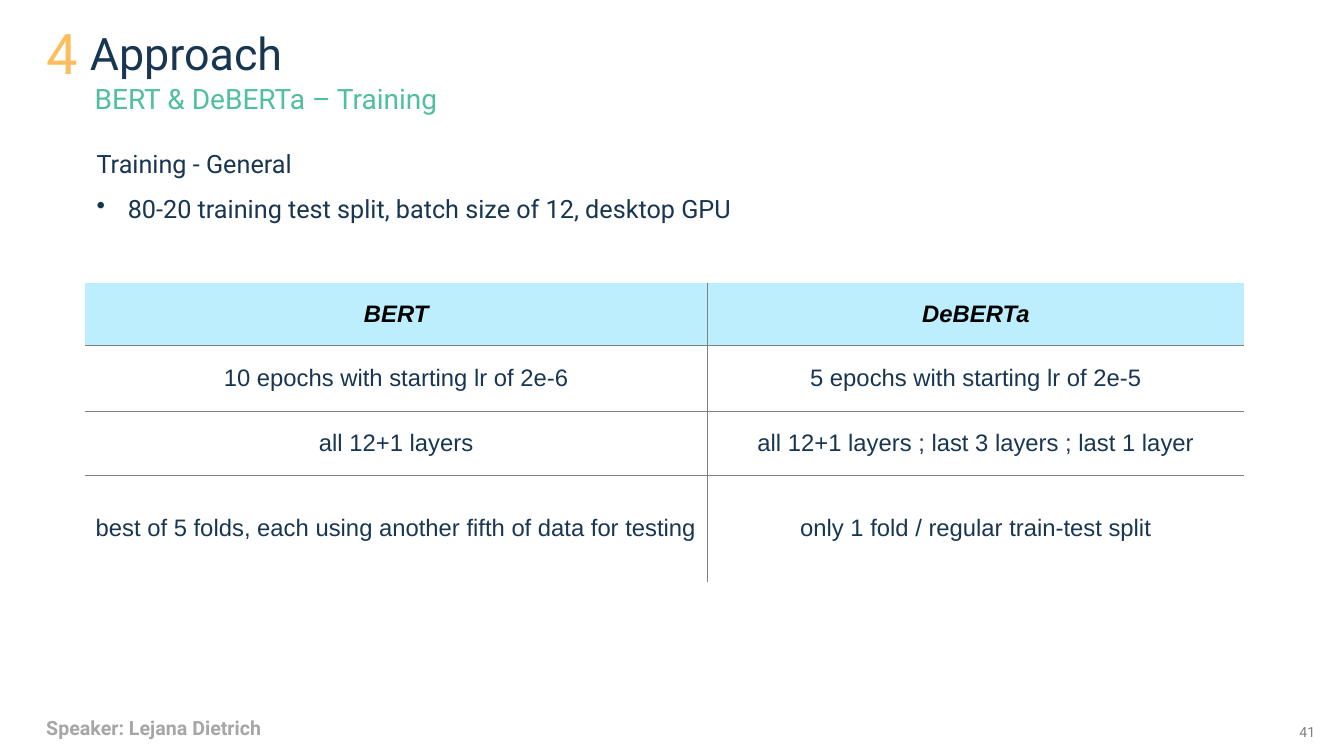
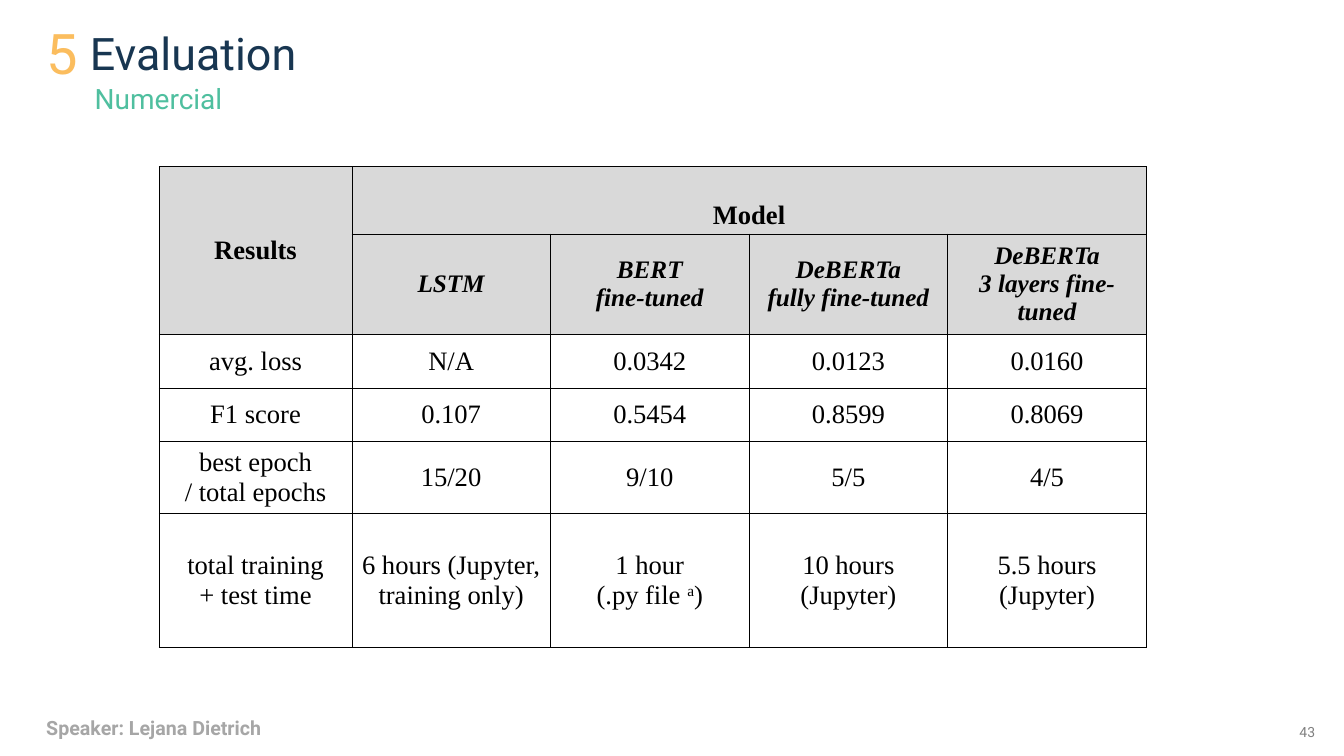
from pptx import Presentation
from pptx import util as u
from pptx.dml.color import RGBColor
from pptx.enum import text
from pptx.oxml.ns import qn
from lxml import etree

NAVY, GREEN, AMBER = "183651", "4FBF9F", "FBBD5E"
GREY, SILVER, BLACK = "808080", "A6A6A6", "000000"
SKY, PALE = "BDEEFD", "D9D9D9"
NO_GRID_STYLE = "{2D5ABB26-0587-4C30-8999-92F81FD0307C}"
SPEAKER = "Speaker: Lejana Dietrich"


def color(value):
    """Turn a hex string into a colour."""
    return RGBColor.from_string(value)


def assign(target, values):
    """Set every attribute named in a dict of format values."""
    for name, value in values.items():
        setattr(target, name, value)


def font(size, hue, name="Roboto", **extra):
    """Describe a font as a dict of format values and a colour."""
    return {"size": u.Pt(size), "name": name, "bold": False, "italic": False, **extra}, hue


class Deck:
    """Hold the style and the current slide; lengths are percent of the slide."""

    def __init__(self):
        """Start a wide presentation."""
        self.presentation = Presentation()
        assign(self.presentation, {"slide_width": u.Inches(13.33), "slide_height": u.Inches(7.5)})
        self.slide = None

    def across(self, share):
        """Convert a share of the width."""
        return int(self.presentation.slide_width * share / 100)

    def down(self, share):
        """Convert a share of the height."""
        return int(self.presentation.slide_height * share / 100)

    def area(self, left, top, width, height):
        """Convert a rectangle of shares to lengths."""
        return self.across(left), self.down(top), self.across(width), self.down(height)

    def paragraph(self, paragraph, words, style, bullet=False, **layout):
        """Write one paragraph, raising the words between carets."""
        if bullet:
            properties = paragraph._p.get_or_add_pPr()
            properties.set("marL", str(u.Inches(0.31)))
            properties.set("indent", str(-u.Inches(0.31)))
            etree.SubElement(properties, qn("a:buChar"), char="•")
        assign(paragraph, layout)
        values, hue = style
        for index, part in enumerate(words.split("^")):
            run = paragraph.add_run()
            run.text = part
            assign(run.font, values)
            run.font.color.rgb = color(hue)
            if index % 2:
                run._r.get_or_add_rPr().set("baseline", "30000")

    def label(self, area, words, style, anchor=text.MSO_ANCHOR.TOP, **layout):
        """Add a text box with one paragraph."""
        frame = self.slide.shapes.add_textbox(*self.area(*area)).text_frame
        assign(frame, {"word_wrap": True, "vertical_anchor": anchor})
        self.paragraph(frame.paragraphs[0], words, style, **layout)
        return frame

    def start(self, chapter, title, subtitle, page):
        """Add a slide with its heading, speaker and page number."""
        self.slide = self.presentation.slides.add_slide(self.presentation.slide_layouts[5])
        heading = self.slide.shapes.title
        assign(heading, dict(zip(("left", "top", "width", "height"), self.area(5.93, 3.47, 42.69, 7.87))))
        middle = text.MSO_ANCHOR.MIDDLE
        assign(heading.text_frame, {"word_wrap": True, "auto_size": text.MSO_AUTO_SIZE.NONE,
                                    "vertical_anchor": middle})
        self.paragraph(heading.text_frame.paragraphs[0], title, font(32, NAVY),
                       alignment=text.PP_ALIGN.LEFT, line_spacing=0.9)
        self.label((2.7, 3.47, 3.75, 7.87), chapter, font(40, AMBER), middle,
                   alignment=text.PP_ALIGN.RIGHT, line_spacing=0.9)
        self.label((6.3, 10.93, 46.36, 5.2), subtitle, font(20, GREEN), line_spacing=0.8)
        self.label((2.7, 91.6, 21.61, 6.13), SPEAKER, font(14, SILVER, bold=True), line_spacing=1.8)
        self.label((95.95, 95.07, 3.23, 2.8), page, font(10, GREY))

    def borders(self, cell, sides, hue, width):
        """Draw the chosen sides of a cell."""
        properties = cell._tc.get_or_add_tcPr()
        for side in sides:
            line = etree.SubElement(properties, qn("a:ln" + side), w=str(u.Pt(width)))
            fill = etree.SubElement(line, qn("a:solidFill"))
            etree.SubElement(fill, qn("a:srgbClr"), val=hue)

    def table(self, left, top, columns, rows, cells, style_at, fill_at, line, outline, inset):
        """Add a centred table; style_at and fill_at choose by row and column."""
        area = self.area(left, top, sum(columns), sum(rows))
        table = self.slide.shapes.add_table(len(rows), len(columns), *area).table
        assign(table, {"first_row": False, "horz_banding": False})
        table._tbl.tblPr.find(qn("a:tableStyleId")).text = NO_GRID_STYLE
        for column, share in zip(table.columns, columns):
            column.width = self.across(share)
        for row, share in zip(table.rows, rows):
            row.height = self.down(share)
        side, edge = map(u.Inches, inset)
        format_values = {"margin_left": side, "margin_right": side, "margin_top": edge,
                         "margin_bottom": edge, "vertical_anchor": text.MSO_ANCHOR.MIDDLE}
        for r in range(len(rows)):
            for c in range(len(columns)):
                cell = table.cell(r, c)
                inner = {"L": c > 0, "R": c < len(columns) - 1, "T": r > 0, "B": r < len(rows) - 1}
                self.borders(cell, [name for name in inner if outline or inner[name]], *line)
                assign(cell, format_values)
                hue = fill_at(r, c)
                if hue:
                    cell.fill.solid()
                    cell.fill.fore_color.rgb = color(hue)
                else:
                    cell.fill.background()
                if not cells[r][c]:
                    continue
                for index, words in enumerate(cells[r][c].split("\n")):
                    frame = cell.text_frame
                    paragraph = frame.add_paragraph() if index else frame.paragraphs[0]
                    self.paragraph(paragraph, words, style_at(r, c), alignment=text.PP_ALIGN.CENTER)
        return table


def approach(deck):
    """Build the training slide."""
    deck.start("4", "Approach", "BERT & DeBERTa – Training", "41")
    body = font(18, NAVY)
    frame = deck.label((6.45, 18.93, 60.09, 10.8), "Training - General", body)
    deck.paragraph(frame.add_paragraph(), "80-20 training test split, batch size of 12, desktop GPU",
                   body, bullet=True, line_spacing=1.5)
    cells = [
        ("BERT", "DeBERTa"),
        ("10 epochs with starting lr of 2e-6", "5 epochs with starting lr of 2e-5"),
        ("all 12+1 layers", "all 12+1 layers ; last 3 layers ; last 1 layer"),
        ("best of 5 folds, each using another fifth of data for testing",
         "only 1 fold / regular train-test split"),
    ]
    header, plain = font(17, BLACK, "Arial", bold=True, italic=True), font(17, NAVY, "Arial")
    deck.table(6.3, 37.47, [46.36, 39.91], [8.27, 8.67, 8.53, 14], cells,
               lambda r, c: plain if r else header, lambda r, c: None if r else SKY,
               (GREY, 1), False, (0.07, 0.05))


def evaluation(deck):
    """Build the results slide."""
    deck.start("5", "Evaluation", "Numercial", "43")
    cells = [
        ("Results", "Model", "", "", ""),
        ("", "LSTM", "BERT\nfine-tuned", "DeBERTa\nfully fine-tuned", "DeBERTa\n3 layers fine-tuned"),
        ("avg. loss", "N/A", "0.0342", "0.0123", "0.0160"),
        ("F1 score", "0.107", "0.5454", "0.8599", "0.8069"),
        ("best epoch\n/ total epochs", "15/20", "9/10", "5/5", "4/5"),
        ("total training\n+ test time", "6 hours (Jupyter, training only)",
         "1 hour\n(.py file ^a^)", "10 hours\n(Jupyter)", "5.5 hours\n(Jupyter)"),
    ]
    serif = "Times New Roman"
    styles = [font(19, BLACK, serif, bold=True), font(18, BLACK, serif, bold=True, italic=True),
              font(19, BLACK, serif)]
    table = deck.table(11.85, 22, [14.33] + [14.78] * 4, [8.93, 13.33, 7.07, 7.07, 9.47, 17.73], cells,
                       lambda r, c: styles[min(r, 2)], lambda r, c: PALE if r < 2 else None,
                       (BLACK, 0.5), True, (0.06, 0.04))
    table.cell(0, 0).merge(table.cell(1, 0))
    table.cell(0, 1).merge(table.cell(0, 4))
    table.cell(0, 1).vertical_anchor = text.MSO_ANCHOR.BOTTOM


def main():
    """Build and save the presentation."""
    deck = Deck()
    approach(deck)
    evaluation(deck)
    deck.presentation.save("out.pptx")


if __name__ == "__main__":
    main()
